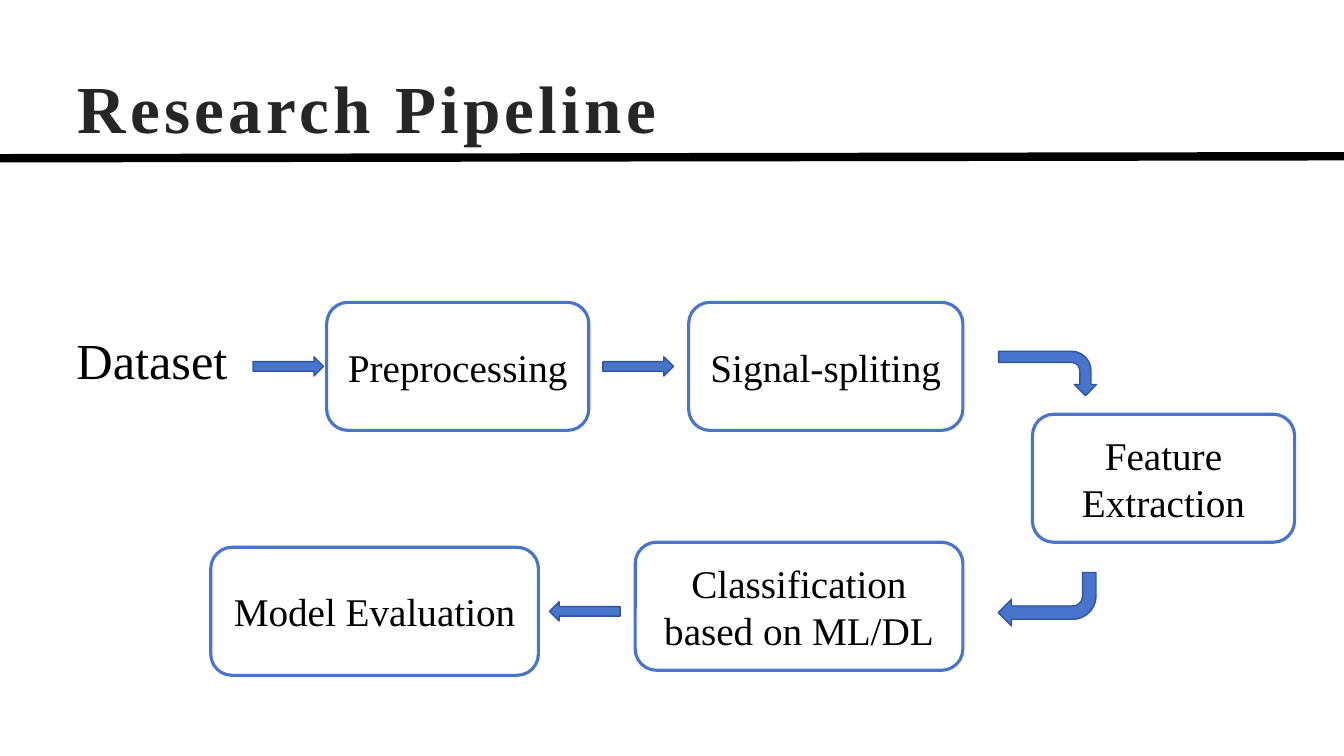
from dataclasses import dataclass

import pptx
import pptx.util
import pptx.dml.color
import pptx.enum.shapes
import pptx.enum.text
import pptx.oxml.ns
from lxml import etree

Inches, Pt = pptx.util.Inches, pptx.util.Pt
SHAPE = pptx.enum.shapes.MSO_SHAPE
ANCHOR = pptx.enum.text.MSO_ANCHOR
ALIGN = pptx.enum.text.PP_ALIGN
AUTO_SIZE = pptx.enum.text.MSO_AUTO_SIZE


@dataclass(frozen=True)
class Theme:
    font: str = "Times New Roman"
    title_color: str = "262626"
    text_color: str = "000000"
    accent: str = "4874CB"
    arrow_edge: str = "2E54A1"
    title_size: int = 48
    source_size: int = 36
    step_size: int = 28
    rule_width: float = 6
    step_line: float = 2.25
    arrow_line: float = 1


THEME = Theme()
TITLE = "Research Pipeline"
SOURCE = "Dataset"
STEP_HEIGHT = 1.27
ARROW_SIZE = (0.7, 0.19)

# text, left, top, width
STEPS = [
    ("Preprocessing", 3.24, 3, 2.6),
    ("Signal-spliting", 6.83, 3, 2.72),
    ("Feature\nExtraction", 10.24, 4.11, 2.6),
    ("Classification based on ML/DL", 6.3, 5.38, 3.25),
    ("Model Evaluation", 2.09, 5.43, 3.25),
]
# preset, left, top, width, height, rotation
ARROWS = [
    (SHAPE.RIGHT_ARROW, 2.51, 3.54, *ARROW_SIZE, 0),
    (SHAPE.RIGHT_ARROW, 5.98, 3.54, *ARROW_SIZE, 0),
    (SHAPE.BENT_ARROW, 10.17, 3.22, 0.44, 0.97, 90),
    (SHAPE.BENT_ARROW, 9.9, 5.68, 0.97, 0.53, 180),
    (SHAPE.RIGHT_ARROW, 5.45, 5.97, *ARROW_SIZE, 180),
]


def rgb(value):
    return pptx.dml.color.RGBColor.from_string(value)


def write(frame, text, size, color, align=ALIGN.LEFT, bold=False):
    frame.text = text
    for paragraph in frame.paragraphs:
        paragraph.alignment = align
        for run in paragraph.runs:
            run.font.name = THEME.font
            run.font.size = Pt(size)
            run.font.bold = bold
            run.font.color.rgb = rgb(color)


def add_rule(slide):
    rule = slide.shapes.add_connector(
        pptx.enum.shapes.MSO_CONNECTOR.STRAIGHT,
        Inches(0), Inches(1.57), Inches(13.33), Inches(1.55))
    rule.line.color.rgb = rgb(THEME.text_color)
    rule.line.width = Pt(THEME.rule_width)
    etree.SubElement(rule._element.spPr, pptx.oxml.ns.qn("a:effectLst"))


def add_title(slide):
    title = slide.shapes.title
    title.left, title.top = Inches(0.67), Inches(0.67)
    title.width, title.height = Inches(12), Inches(0.77)
    frame = title.text_frame
    frame.vertical_anchor = ANCHOR.MIDDLE
    frame.auto_size = AUTO_SIZE.NONE
    write(frame, TITLE, THEME.title_size, THEME.title_color, bold=True)
    for run in frame.paragraphs[0].runs:
        run.font._element.set("spc", "300")


def add_source(slide):
    source = slide.shapes.add_textbox(
        Inches(0.66), Inches(3.22), Inches(1.94), Inches(0.71))
    source.text_frame.word_wrap = True
    source.text_frame.auto_size = AUTO_SIZE.SHAPE_TO_FIT_TEXT
    write(source.text_frame, SOURCE, THEME.source_size, THEME.text_color)


def add_step(slide, text, left, top, width):
    step = slide.shapes.add_shape(
        SHAPE.ROUNDED_RECTANGLE,
        Inches(left), Inches(top), Inches(width), Inches(STEP_HEIGHT))
    step.shadow.inherit = False
    step.fill.background()
    step.line.color.rgb = rgb(THEME.accent)
    step.line.width = Pt(THEME.step_line)
    step.text_frame.word_wrap = True
    step.text_frame.vertical_anchor = ANCHOR.MIDDLE
    write(step.text_frame, text, THEME.step_size, THEME.text_color, ALIGN.CENTER)


def add_arrow(slide, preset, left, top, width, height, rotation):
    arrow = slide.shapes.add_shape(
        preset, Inches(left), Inches(top), Inches(width), Inches(height))
    arrow.rotation = rotation
    arrow.shadow.inherit = False
    arrow.fill.solid()
    arrow.fill.fore_color.rgb = rgb(THEME.accent)
    arrow.line.color.rgb = rgb(THEME.arrow_edge)
    arrow.line.width = Pt(THEME.arrow_line)


def main():
    deck = pptx.Presentation()
    deck.slide_width, deck.slide_height = Inches(13.33), Inches(7.5)
    slide = deck.slides.add_slide(deck.slide_layouts.get_by_name("Title Only"))
    add_rule(slide)
    add_title(slide)
    add_source(slide)
    for step in STEPS:
        add_step(slide, *step)
    for arrow in ARROWS:
        add_arrow(slide, *arrow)
    deck.save("out.pptx")


if __name__ == "__main__":
    main()
